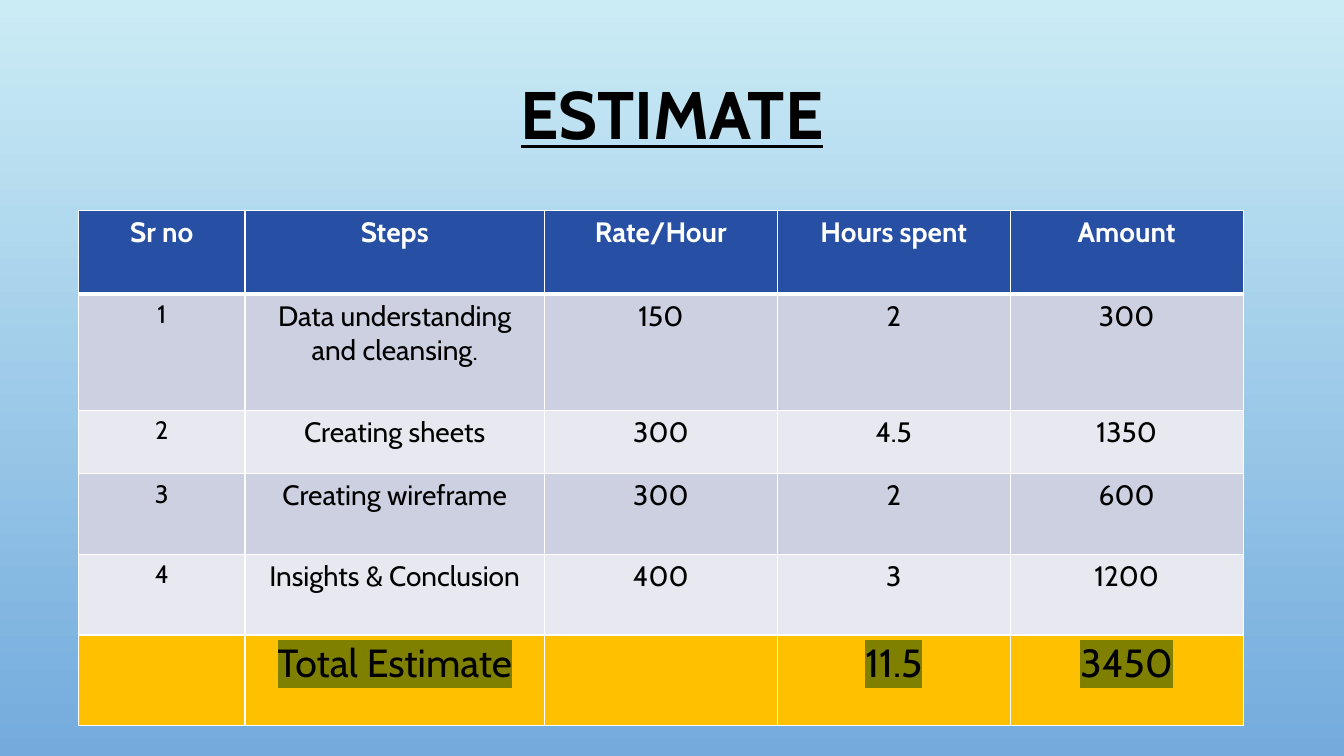
from lxml import etree
from pptx import Presentation
from pptx.dml.color import RGBColor
from pptx.enum.text import MSO_ANCHOR, PP_ALIGN
from pptx.oxml.ns import qn
from pptx.util import Inches, Pt

CENTER = PP_ALIGN.CENTER
MIDDLE = MSO_ANCHOR.MIDDLE
TITLE_ONLY = 5

COLORS = {
    "sky_top": "CBECF5",
    "sky_bottom": "73ABDD",
    "header": "274FA4",
    "band_dark": "CDD0E0",
    "band_light": "E8E9F0",
    "total": "FFC000",
    "highlight": "808000",
    "black": "000000",
    "white": "FFFFFF",
}

HEADINGS = ["Sr no", "Steps", "Rate/Hour", "Hours spent", "Amount"]
STEPS = [
    ["1", "Data understanding and cleansing.", "150", "2", "300"],
    ["2", "Creating sheets", "300", "4.5", "1350"],
    ["3", "Creating wireframe", "300", "2", "600"],
    ["4", "Insights & Conclusion", "400", "3", "1200"],
]
TOTAL = ["", "Total Estimate", "", "11.5", "3450"]

# Percent of the slide's width and height
COLUMN_WIDTHS = [12.38, 22.28, 17.33, 17.33, 17.33]
ROW_HEIGHTS = [11.07, 15.33, 8.4, 10.67, 10.67, 12]


def rgb(name):
    return RGBColor.from_string(COLORS[name])


class EstimateSlide:
    font = "Cabin"

    def __init__(self, presentation):
        self.width = presentation.slide_width
        self.height = presentation.slide_height
        self.slide = presentation.slides.add_slide(presentation.slide_layouts[TITLE_ONLY])

    def across(self, percent):
        return round(self.width * percent / 100)

    def down(self, percent):
        return round(self.height * percent / 100)

    def background(self, top, bottom):
        fill = self.slide.background.fill
        fill.gradient()
        fill.gradient_angle = 270
        for stop, color in zip(fill.gradient_stops, (top, bottom)):
            stop.color.rgb = rgb(color)

    def run(self, paragraph, text, size, color="black", bold=False, highlight=None):
        run = paragraph.add_run()
        run.text = text
        font = run.font
        font.name, font.size, font.bold = self.font, Pt(size), bold
        font.color.rgb = rgb(color)
        if highlight:
            mark = etree.Element(qn("a:highlight"))
            etree.SubElement(mark, qn("a:srgbClr"), val=COLORS[highlight])
            run._r.rPr.find(qn("a:latin")).addprevious(mark)
        return run

    def title(self, text, left, top, width, height):
        shape = self.slide.shapes.title
        shape.left, shape.top = self.across(left), self.down(top)
        shape.width, shape.height = self.across(width), self.down(height)
        shape.text_frame.vertical_anchor = MIDDLE
        paragraph = shape.text_frame.paragraphs[0]
        paragraph.alignment = CENTER
        paragraph.line_spacing = 0.9
        self.run(paragraph, text, 48, bold=True).font.underline = True

    def table(self, left, top, column_widths, row_heights):
        table = self.slide.shapes.add_table(
            len(row_heights), len(column_widths),
            self.across(left), self.down(top),
            self.across(sum(column_widths)), self.down(sum(row_heights)),
        ).table
        for column, width in zip(table.columns, column_widths):
            column.width = self.across(width)
        for row, height in zip(table.rows, row_heights):
            row.height = self.down(height)
        return table

    def borders(self, cell, top=1, bottom=1):
        widths = {"lnL": 1, "lnR": 1, "lnT": top, "lnB": bottom}
        properties = cell._tc.get_or_add_tcPr()
        for index, (side, width) in enumerate(widths.items()):
            line = etree.Element(qn(f"a:{side}"), w=str(Pt(width)))
            fill = etree.SubElement(line, qn("a:solidFill"))
            etree.SubElement(fill, qn("a:srgbClr"), val=COLORS["white"])
            properties.insert(index, line)

    def table_row(self, row, texts, fill, sizes, top=1, bottom=1, **style):
        for cell, text, size in zip(row.cells, texts, sizes):
            cell.fill.solid()
            cell.fill.fore_color.rgb = rgb(fill)
            self.borders(cell, top, bottom)
            paragraph = cell.text_frame.paragraphs[0]
            paragraph.alignment = CENTER
            if text:
                body = text.rstrip(".")
                self.run(paragraph, body, size, **style)
                if body != text:
                    self.run(paragraph, ".", 18, **style)


def main():
    presentation = Presentation()
    presentation.slide_width = Inches(13.33)
    presentation.slide_height = Inches(7.5)

    estimate = EstimateSlide(presentation)
    estimate.background("sky_top", "sky_bottom")
    estimate.title("ESTIMATE", 7.5, 6.13, 85, 18.93)

    table = estimate.table(5.85, 27.87, COLUMN_WIDTHS, ROW_HEIGHTS)
    header, *steps, total = table.rows
    estimate.table_row(header, HEADINGS, "header", [20] * 5, bottom=3, color="white", bold=True)
    for index, (row, texts) in enumerate(zip(steps, STEPS)):
        band = "band_light" if index % 2 else "band_dark"
        estimate.table_row(row, texts, band, [18] + [20] * 4, top=1 if index else 3)
    estimate.table_row(total, TOTAL, "total", [28] * 5, highlight="highlight")

    presentation.save("out.pptx")


if __name__ == "__main__":
    main()
